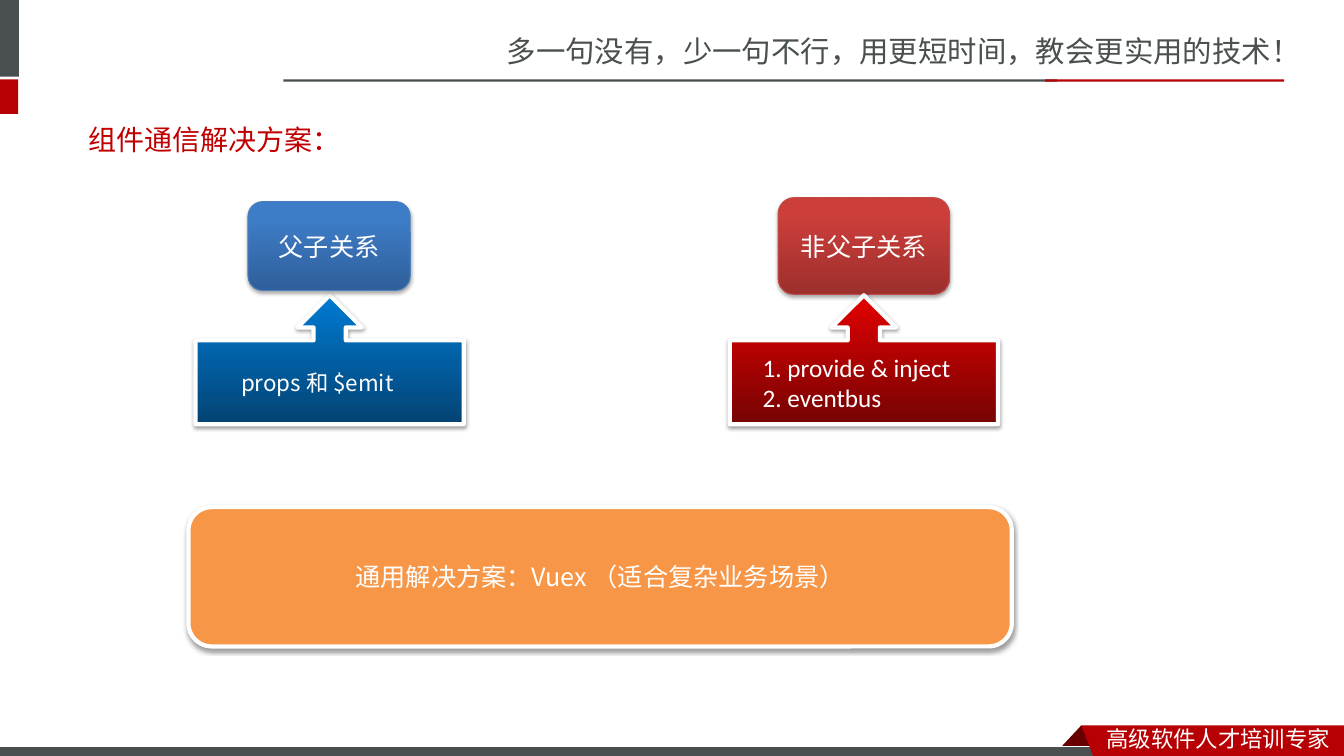
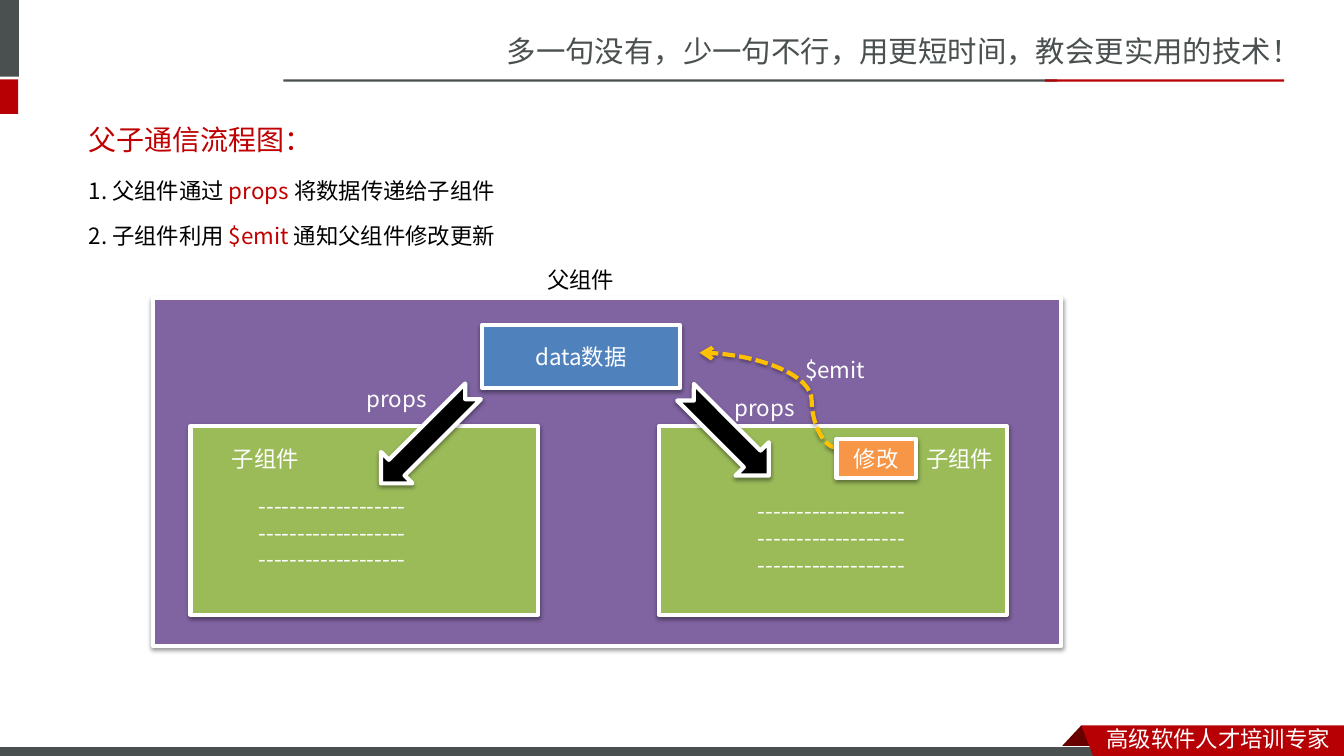
from dataclasses import dataclass
from typing import Optional, Sequence

from pptx import Presentation
from pptx.dml.color import RGBColor
from pptx.enum.dml import MSO_LINE
from pptx.enum.shapes import MSO_CONNECTOR, MSO_SHAPE
from pptx.enum.text import MSO_ANCHOR, MSO_AUTO_SIZE, PP_ALIGN
from pptx.oxml.ns import qn
from pptx.oxml.xmlchemy import OxmlElement
from pptx.util import Cm, Pt

GREY = "49504F"
RED = "B60004"
TITLE_RED = "C00000"
DARK_RED = "680000"
WHITE = "FFFFFF"
BLACK = "000000"
ORANGE = "F79646"
GREEN = "9BBB59"
PURPLE = "8064A2"
BLUE = "4F81BD"
YELLOW = "FFC000"


@dataclass(frozen=True)
class Area:
    left: float
    top: float
    width: float
    height: float

    def lengths(self) -> tuple:
        return Cm(self.left), Cm(self.top), Cm(self.width), Cm(self.height)


@dataclass(frozen=True)
class TextStyle:
    size: float = 16
    color: str = WHITE
    font: str = "Noto Sans CJK JP"
    align: PP_ALIGN = PP_ALIGN.LEFT
    spacing: Optional[float] = None


@dataclass(frozen=True)
class Gradient:
    top: str
    bottom: str
    start: float = 0


@dataclass(frozen=True)
class Shadow:
    blur: float = 3.1
    distance: float = 1.6
    opacity: int = 38


@dataclass(frozen=True)
class Box:
    kind: MSO_SHAPE
    area: Area
    fill: str | Gradient
    text: str = ""
    style: TextStyle = TextStyle(align=PP_ALIGN.CENTER)
    line: Optional[str] = WHITE
    line_width: float = 3
    shadow: Optional[Shadow] = Shadow()
    rotation: float = 0
    margin_left: float = 0.25


@dataclass(frozen=True)
class Label:
    area: Area
    text: str
    style: TextStyle = TextStyle()
    wrap: bool = False


def rgb(color: str) -> RGBColor:
    return RGBColor.from_string(color)


def add_element(parent, tag: str, **attributes: str):
    element = OxmlElement(tag)
    for name, value in attributes.items():
        element.set(name, value)
    parent.append(element)
    return element


def write_text(shape, text: str, style: TextStyle) -> None:
    frame = shape.text_frame
    for row_index, row in enumerate(text.split("\n")):
        paragraph = frame.add_paragraph() if row_index else frame.paragraphs[0]
        paragraph.alignment = style.align
        if style.spacing:
            paragraph.line_spacing = style.spacing
        paragraph.font.size = Pt(style.size)
        paragraph.font.name = style.font
        paragraph.font.color.rgb = rgb(style.color)
        for part_index, part in enumerate(row.split("|")):
            run = paragraph.add_run()
            run.text = part
            if part_index % 2:
                run.font.color.rgb = rgb(TITLE_RED)
    for latin in list(shape.element.iter(qn("a:latin"))):
        east_asian = OxmlElement("a:ea")
        east_asian.set("typeface", style.font)
        latin.addnext(east_asian)


def add_shadow(shape, shadow: Shadow) -> None:
    properties = shape.element.spPr
    effects = properties.find(qn("a:effectLst"))
    if effects is None:
        effects = add_element(properties, "a:effectLst")
    outer = add_element(
        effects, "a:outerShdw", blurRad=str(Pt(shadow.blur)), dist=str(Pt(shadow.distance)),
        dir="5400000", rotWithShape="0",
    )
    color = add_element(outer, "a:srgbClr", val=BLACK)
    add_element(color, "a:alpha", val=str(shadow.opacity * 1000))


def paint(shape, fill: str | Gradient) -> None:
    if isinstance(fill, Gradient):
        shape.fill.gradient()
        shape.fill.gradient_angle = 270
        stops = shape.fill.gradient_stops
        for stop, color, position in zip(stops, (fill.top, fill.bottom), (fill.start, 1)):
            stop.color.rgb = rgb(color)
            stop.position = position
    else:
        shape.fill.solid()
        shape.fill.fore_color.rgb = rgb(fill)


def finish(shape, fill: str | Gradient, line: Optional[str] = None, width: float = 0) -> None:
    paint(shape, fill)
    if line:
        shape.line.color.rgb = rgb(line)
        shape.line.width = Pt(width)
    else:
        shape.line.fill.background()
    shape.shadow.inherit = False


def add_box(slide, box: Box):
    shape = slide.shapes.add_shape(box.kind, *box.area.lengths())
    finish(shape, box.fill, box.line, box.line_width)
    shape.rotation = box.rotation
    if box.shadow:
        add_shadow(shape, box.shadow)
    if box.text:
        shape.text_frame.margin_left = Cm(box.margin_left)
        shape.text_frame.vertical_anchor = MSO_ANCHOR.MIDDLE
        write_text(shape, box.text, box.style)
    return shape


def add_label(slide, label: Label):
    shape = slide.shapes.add_textbox(*label.area.lengths())
    shape.text_frame.word_wrap = label.wrap
    write_text(shape, label.text, label.style)
    return shape


def add_outline(slide, points: Sequence[tuple[float, float]], color: str):
    corners = [(Cm(x), Cm(y)) for x, y in points]
    builder = slide.shapes.build_freeform(*corners[0])
    builder.add_line_segments(corners[1:], close=True)
    shape = builder.convert_to_shape()
    finish(shape, color)
    return shape


def add_bar(slide, area: Area, color: str, line: Optional[str] = None):
    return add_box(slide, Box(MSO_SHAPE.RECTANGLE, area, color, line=line, line_width=0.75, shadow=None))


def place(shape, area: Area) -> None:
    shape.left, shape.top, shape.width, shape.height = area.lengths()


def add_curve(slide, begin: tuple[float, float], end: tuple[float, float], bend: int) -> None:
    connector = slide.shapes.add_connector(
        MSO_CONNECTOR.CURVE, Cm(begin[0]), Cm(begin[1]), Cm(end[0]), Cm(end[1])
    )
    connector.line.color.rgb = rgb(YELLOW)
    connector.line.width = Pt(3)
    connector.line.dash_style = MSO_LINE.SQUARE_DOT
    properties = connector.element.spPr
    add_element(properties.find(qn("a:ln")), "a:tailEnd", type="arrow")
    adjustments = next(properties.iter(qn("a:avLst")))
    add_element(adjustments, "a:gd", name="adj1", fmla=f"val {bend}")
    add_shadow(connector, Shadow())


def add_titled_slide(presentation, title: str):
    slide = presentation.slides.add_slide(presentation.slide_layouts[1])
    slide.shapes.title.text_frame.vertical_anchor = MSO_ANCHOR.MIDDLE
    write_text(slide.shapes.title, title, TextStyle(20, TITLE_RED))
    return slide


def fill_body(slide, area: Area, text: str, color: str) -> None:
    body = slide.placeholders[1]
    place(body, area)
    body.text_frame.auto_size = MSO_AUTO_SIZE.NONE
    write_text(body, text, TextStyle(color=color, spacing=1.5))
    for properties in body.element.iter(qn("a:pPr")):
        properties.set("marL", "0")
        properties.set("indent", "0")
        properties.find(qn("a:defRPr")).addprevious(OxmlElement("a:buNone"))
    slide.shapes.element.append(body.element)


def decorate_layout(layout, slide) -> None:
    for placeholder in list(layout.placeholders):
        if placeholder.placeholder_format.idx >= 10:
            layout.shapes.element.remove(placeholder.element)
    place(layout.placeholders[0], Area(1.98, 2.79, 29.77, 1.45))
    font = "Noto Sans CJK SC"
    slogan = "多一句没有，少一句不行，用更短时间，教会更实用的技术！"
    decorations = [
        add_label(slide, Label(Area(12.52, 0.71, 21.36, 1.19), slogan, TextStyle(21, GREY, font), True)),
        add_bar(slide, Area(-0.15, 0, 0.63, 1.93), GREY),
        add_bar(slide, Area(-0.15, 2, 0.61, 0.87), RED),
        add_bar(slide, Area(7.14, 2, 19.5, 0.06), GREY),
        add_bar(slide, Area(26.34, 2, 6.02, 0.06), RED),
        add_outline(slide, [(27.25, 18.28), (27.81, 18.87), (26.7, 18.87)], DARK_RED),
        add_bar(slide, Area(-0.03, 18.82, 27.94, 0.3), GREY, WHITE),
        add_outline(slide, [(27.25, 18.28), (33.87, 18.28), (33.87, 19.15), (27.58, 19.13)], RED),
        add_label(slide, Label(Area(27.64, 18.16, 6.22, 0.94), "高级软件人才培训专家",
                               TextStyle(16, WHITE, font), True)),
    ]
    for shape in decorations:
        layout.shapes.element.append(shape.element)


def build_solutions(slide) -> None:
    heading = TextStyle(18, align=PP_ALIGN.CENTER)
    soft = Shadow(distance=1.8, opacity=35)
    rounded, callout = MSO_SHAPE.ROUNDED_RECTANGLE, MSO_SHAPE.UP_ARROW_CALLOUT
    boxes = [
        Box(callout, Area(4.93, 7.44, 6.76, 3.25), Gradient("007BD3", "034373")),
        Box(rounded, Area(6.25, 5.08, 4.09, 2.24), Gradient("3D7CC7", "2F5F99", 0.2),
            "父子关系", heading, "4B7EBC", 0.75, soft),
        Box(rounded, Area(19.61, 4.98, 4.32, 2.44), Gradient("CB3E3A", "9C2F2D", 0.2),
            "非父子关系", heading, "BF4C48", 0.75, soft),
        Box(callout, Area(18.39, 7.44, 6.76, 3.25), Gradient("E30000", "760303"),
            "1. provide & inject\n2. eventbus", TextStyle(18, font="Calibri"), margin_left=0.83),
        Box(rounded, Area(4.75, 12.78, 20.75, 3.51), ORANGE,
            "通用解决方案：Vuex （适合复杂业务场景）", heading),
    ]
    for box in boxes:
        add_box(slide, box)
    fill_body(slide, Area(5.82, 8.84, 5.28, 1.63), "props 和 $emit", WHITE)


def build_flow(slide) -> None:
    rectangle, arrow = MSO_SHAPE.RECTANGLE, MSO_SHAPE.NOTCHED_RIGHT_ARROW
    boxes = [
        Box(rectangle, Area(3.86, 7.52, 22.89, 8.76), PURPLE),
        Box(rectangle, Area(16.61, 10.74, 8.76, 4.75), GREEN),
        Box(rectangle, Area(4.8, 10.74, 8.76, 4.75), GREEN),
        Box(rectangle, Area(12.14, 8.2, 5, 1.57), BLUE, "data数据"),
        Box(arrow, Area(9.12, 10.46, 3.28, 1.12), BLACK, rotation=135),
        Box(arrow, Area(16.84, 10.34, 2.97, 1.19), BLACK, rotation=45),
    ]
    dashes = "\n".join(["-" * 19] * 3)
    labels = [
        Label(Area(13.54, 6.58, 2.21, 0.94), "父组件", TextStyle(color=BLACK)),
        Label(Area(23.09, 11.1, 2.21, 0.94), "子组件"),
        Label(Area(5.59, 11.1, 2.21, 0.94), "子组件"),
        Label(Area(8.99, 9.58, 2.06, 0.94), "props"),
        Label(Area(18.26, 9.8, 2.06, 0.94), "props"),
        Label(Area(6.27, 12.27, 5.23, 2.31), dashes),
        Label(Area(18.85, 12.4, 5.23, 2.31), dashes),
        Label(Area(20.04, 8.84, 2.03, 0.94), "$emit"),
    ]
    for box in boxes:
        add_box(slide, box)
    add_curve(slide, (21.08, 11.28), (17.63, 8.89), 18100)
    for label in labels:
        add_label(slide, label)
    add_box(slide, Box(rectangle, Area(21.08, 11.07, 2.01, 0.97), ORANGE, "修改"))
    steps = "1. 父组件通过 |props| 将数据传递给子组件\n2. 子组件利用 |$emit| 通知父组件修改更新"
    fill_body(slide, Area(1.98, 4.01, 29.39, 4.27), steps, BLACK)


def main() -> None:
    presentation = Presentation()
    presentation.slide_width, presentation.slide_height = Cm(33.87), Cm(19.05)
    solutions = add_titled_slide(presentation, "组件通信解决方案：")
    decorate_layout(presentation.slide_layouts[1], solutions)
    build_solutions(solutions)
    build_flow(add_titled_slide(presentation, "父子通信流程图："))
    presentation.save("out.pptx")


if __name__ == "__main__":
    main()
